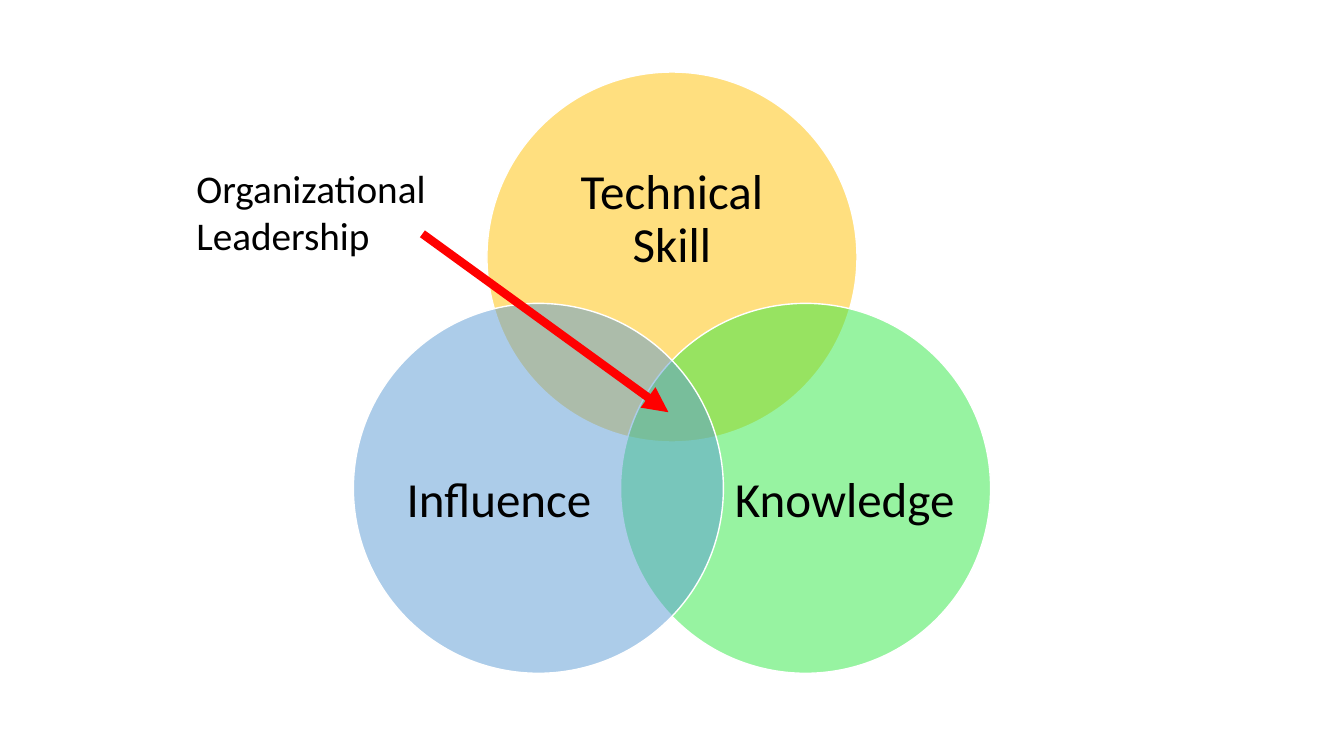
from math import cos, radians, sin

from lxml import etree
from pptx import Presentation
from pptx.dml.color import RGBColor
from pptx.enum.shapes import MSO_CONNECTOR, MSO_SHAPE
from pptx.enum.text import MSO_ANCHOR, PP_ALIGN
from pptx.oxml.ns import qn
from pptx.util import Inches, Pt

OVAL = MSO_SHAPE.OVAL
STRAIGHT = MSO_CONNECTOR.STRAIGHT
MIDDLE, TOP = MSO_ANCHOR.MIDDLE, MSO_ANCHOR.TOP
CENTER, LEFT = PP_ALIGN.CENTER, PP_ALIGN.LEFT
YELLOW = RGBColor(0xFF, 0xC0, 0x00)
GREEN = RGBColor(0x30, 0xE8, 0x45)
BLUE = RGBColor(0x5B, 0x9B, 0xD5)
RED = RGBColor(0xFF, 0x00, 0x00)
WHITE = RGBColor(0xFF, 0xFF, 0xFF)
BLACK = RGBColor(0x00, 0x00, 0x00)

# Slide
deck = Presentation()
deck.slide_width, deck.slide_height = Inches(13.33), Inches(7.5)
page = deck.slides.add_slide(deck.slide_layouts[6])

# Three circles sit at equal angles around the middle of the diagram
MIDDLE_X, MIDDLE_Y = 13.33 / 2, 4.08
SPREAD = 1.53
DIAMETER = 3.67


def add_label(text, left, top, width, height, size, frame_format, para_format):
    box = page.shapes.add_textbox(*map(Inches, (left, top, width, height)))
    frame = box.text_frame
    for name, value in frame_format.items():
        setattr(frame, name, value)
    para = frame.paragraphs[0]
    for name, value in para_format.items():
        setattr(para, name, value)
    span = para.add_run()
    span.text = text
    for name, value in {"name": "Calibri", "size": Pt(size)}.items():
        setattr(span.font, name, value)
    span.font.color.rgb = BLACK


CIRCLE_FRAME = {"word_wrap": True, "vertical_anchor": MIDDLE, "margin_left": 0,
                "margin_right": 0, "margin_top": 0, "margin_bottom": 0}
CIRCLE_PARA = {"alignment": CENTER, "line_spacing": 0.9}

# Angle, colour, then the label's shift from the circle's centre and its size
circles = [
    ("Technical Skill", -90, YELLOW, 0, -0.37, 2.69, 1.65),
    ("Knowledge", 30, GREEN, 0.39, 0.13, 2.2, 2.02),
    ("Influence", 150, BLUE, -0.39, 0.13, 2.2, 2.02),
]
for text, angle, color, shift_x, shift_y, width, height in circles:
    x = MIDDLE_X + SPREAD * cos(radians(angle))
    y = MIDDLE_Y + SPREAD * sin(radians(angle))
    circle = page.shapes.add_shape(
        OVAL, Inches(x - DIAMETER / 2), Inches(y - DIAMETER / 2),
        Inches(DIAMETER), Inches(DIAMETER))
    circle.shadow.inherit = False
    circle.fill.solid()
    circle.fill.fore_color.rgb = color
    tint = circle.fill._xPr.find(qn("a:solidFill"))[0]
    etree.SubElement(tint, qn("a:alpha"), val="50000")
    circle.line.color.rgb = WHITE
    circle.line.width = Pt(1)
    add_label(text, x + shift_x - width / 2, y + shift_y - height / 2,
              width, height, 35, CIRCLE_FRAME, CIRCLE_PARA)

# Arrow to the shared centre
arrow = page.shapes.add_connector(
    STRAIGHT, Inches(4.19), Inches(2.32), Inches(6.63), Inches(4.09))
arrow.line.color.rgb = RED
arrow.line.width = Pt(6)
etree.SubElement(arrow.line._get_or_add_ln(), qn("a:tailEnd"), type="triangle")
etree.SubElement(arrow._element.spPr, qn("a:effectLst"))

# Name of the shared centre
add_label("Organizational Leadership", 1.85, 1.58, 2.9, 1.04, 28,
          {"word_wrap": True, "vertical_anchor": TOP}, {"alignment": LEFT})

deck.save("out.pptx")
